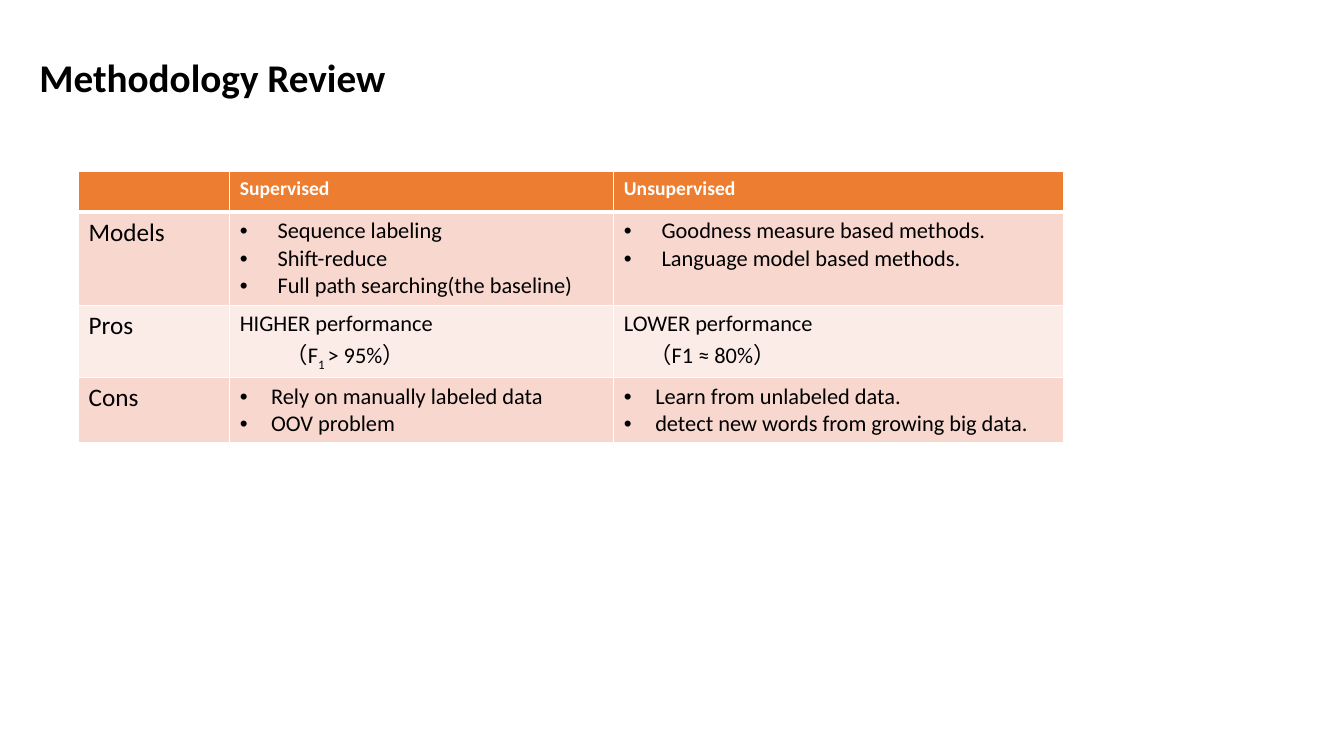
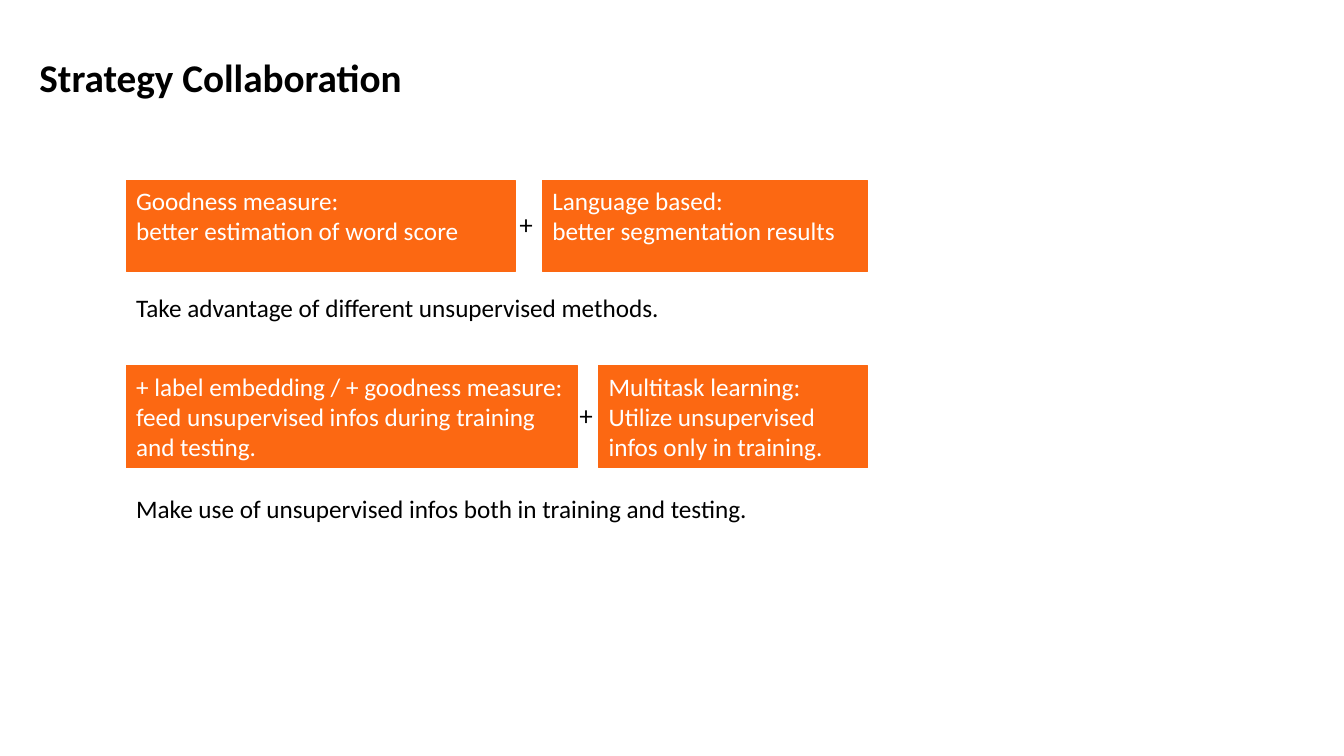
import dataclasses

import lxml.etree
import pptx
import pptx.dml.color
import pptx.enum.shapes
import pptx.enum.text
import pptx.oxml.ns
import pptx.util

Cm, Pt = pptx.util.Cm, pptx.util.Pt
qn = pptx.oxml.ns.qn
ALIGN = pptx.enum.text.PP_ALIGN
ANCHOR = pptx.enum.text.MSO_ANCHOR

COLORS = {
    "text": "000000",
    "white": "FFFFFF",
    "header": "ED7D31",
    "band_dark": "F8D7CE",
    "band_light": "FCECE8",
    "box": "FC6812",
}
FONT = "Calibri"
SYMBOL_FONT = "Noto Sans CJK JP"


@dataclasses.dataclass
class Cell:
    """Table cell text; indent and hanging are in cm."""
    lines: list[str]
    size: int = 16
    indent: float = 0
    bullet: bool = False
    last_indent: float = 0


@dataclasses.dataclass
class Box:
    """Filled box with a heading line and an explanation; lengths in cm."""
    left: float
    width: float
    lines: list[str]


@dataclasses.dataclass
class Strategy:
    """Two boxes joined by a plus sign, with a conclusion below."""
    top: float
    height: float
    boxes: list[Box]
    plus_left: float
    plus_top: float
    conclusion: str
    conclusion_top: float


def rgb(name: str) -> pptx.dml.color.RGBColor:
    return pptx.dml.color.RGBColor.from_string(COLORS[name])


def format_text(tf, size: int, color: str = "text", bold: bool = False,
                align=ALIGN.LEFT, font: str = FONT) -> None:
    for p in tf.paragraphs:
        p.alignment = align
        for r in p.runs:
            r.font.name = font
            r.font.size = Pt(size)
            r.font.bold = bold
            r.font.color.rgb = rgb(color)


def add_titled_slide(prs, title: str):
    s = prs.slides.add_slide(prs.slide_layouts.get_by_name("Title Only"))
    sp = s.shapes.title
    sp.left, sp.top, sp.width, sp.height = Cm(0.74), Cm(1.27), Cm(29.21), Cm(1.5)
    tf = sp.text_frame
    tf.text = title
    tf.auto_size = pptx.enum.text.MSO_AUTO_SIZE.NONE
    tf.vertical_anchor = ANCHOR.MIDDLE
    tf.paragraphs[0].line_spacing = 0.9
    format_text(tf, 28, bold=True)
    return s


def set_borders(cell, top: int, bottom: int) -> None:
    tc_pr = cell._tc.get_or_add_tcPr()
    for side, width in (("L", 1), ("R", 1), ("T", top), ("B", bottom)):
        ln = lxml.etree.SubElement(tc_pr, qn(f"a:ln{side}"), w=str(Pt(width)))
        fill = lxml.etree.SubElement(ln, qn("a:solidFill"))
        lxml.etree.SubElement(fill, qn("a:srgbClr"), val=COLORS["white"])


def set_indent(p, left: float, bullet: bool = False) -> None:
    p_pr = p._p.get_or_add_pPr()
    p_pr.set("marL", str(Cm(left)))
    p_pr.set("indent", str(-Cm(left) if bullet else 0))
    if bullet:
        lxml.etree.SubElement(p_pr, qn("a:buFont"), typeface="Arial")
        lxml.etree.SubElement(p_pr, qn("a:buChar"), char="•")


def fill_cell(cell, content: Cell, fill: str, is_header: bool) -> None:
    tf = cell.text_frame
    tf.text = "\n".join(content.lines)
    format_text(tf, content.size, "white" if is_header else "text", is_header)
    for p in tf.paragraphs:
        set_indent(p, content.indent, content.bullet)
    if content.last_indent:
        set_indent(tf.paragraphs[-1], content.last_indent)
    cell.fill.solid()
    cell.fill.fore_color.rgb = rgb(fill)


def add_subscript(p, digit: str, rest: str) -> None:
    """Continue a paragraph with a subscript and normal text after it."""
    first = p.runs[0].font
    for text, baseline in ((digit, "-25000"), (rest, "0")):
        r = p.add_run()
        r.text = text
        r.font.name, r.font.size, r.font.bold = first.name, first.size, False
        r.font.color.rgb = first.color.rgb
        r._r.get_or_add_rPr().set("baseline", baseline)


def add_review_table(s, rows: list[list[Cell]], widths: list[float],
                     heights: list[float]):
    frame = s.shapes.add_table(len(rows), len(widths), Cm(1.98), Cm(4.32),
                               Cm(sum(widths)), Cm(sum(heights)))
    table = frame.table
    for column, width in zip(table.columns, widths):
        column.width = Cm(width)
    for i, (contents, height) in enumerate(zip(rows, heights)):
        table.rows[i].height = Cm(height)
        fill = "header" if i == 0 else ("band_light", "band_dark")[i % 2]
        for j, content in enumerate(contents):
            cell = table.cell(i, j)
            set_borders(cell, 3 if i == 1 else 1, 3 if i == 0 else 1)
            fill_cell(cell, content, fill, i == 0)
    return table


def add_box(s, box: Box, top: float, height: float) -> None:
    sp = s.shapes.add_shape(pptx.enum.shapes.MSO_SHAPE.RECTANGLE, Cm(box.left),
                            Cm(top), Cm(box.width), Cm(height))
    sp.shadow.inherit = False
    sp.fill.solid()
    sp.fill.fore_color.rgb = rgb("box")
    sp.line.color.rgb = rgb("box")
    sp.line.width = Pt(0.5)
    tf = sp.text_frame
    tf.word_wrap = True
    tf.vertical_anchor = ANCHOR.TOP
    tf.text = "\n".join(box.lines)
    format_text(tf, 18, "white")


def add_label(s, text: str, left: float, top: float, width: float,
              wrap: bool = True, align=ALIGN.LEFT, font: str = FONT) -> None:
    sp = s.shapes.add_textbox(Cm(left), Cm(top), Cm(width), Cm(1.03))
    tf = sp.text_frame
    tf.word_wrap = wrap
    tf.vertical_anchor = ANCHOR.MIDDLE
    tf.text = text
    format_text(tf, 18, align=align, font=font)


def add_strategy(s, strategy: Strategy) -> None:
    for box in strategy.boxes:
        add_box(s, box, strategy.top, strategy.height)
    add_label(s, "+", strategy.plus_left, strategy.plus_top, 0.84,
              wrap=False, align=ALIGN.CENTER, font=SYMBOL_FONT)
    add_label(s, strategy.conclusion, 3.18, strategy.conclusion_top, 16.74)


prs = pptx.Presentation()
prs.slide_width, prs.slide_height = Cm(33.87), Cm(19.05)

# Methodology table
s = add_titled_slide(prs, "Methodology Review")
review_rows = [
    [Cell([""]), Cell(["Supervised"], 14), Cell(["Unsupervised"], 14)],
    [Cell(["Models"], 18),
     Cell(["Sequence labeling", "Shift-reduce",
           "Full path searching(the baseline)"], indent=0.95, bullet=True),
     Cell(["Goodness measure based methods.", "Language model based methods."],
          indent=0.95, bullet=True)],
    [Cell(["Pros"], 18),
     Cell(["HIGHER performance", "（F"], last_indent=1.15),
     Cell(["LOWER performance", "（F1 ≈ 80%）"], last_indent=0.64)],
    [Cell(["Cons"], 18),
     Cell(["Rely on manually labeled data", "OOV problem"],
          indent=0.79, bullet=True),
     Cell(["Learn from unlabeled data.",
           "detect new words from growing big data."],
          indent=0.79, bullet=True)],
]
table = add_review_table(s, review_rows, [3.81, 9.68, 11.33],
                         [1.03, 2.34, 1.82, 1.63])
add_subscript(table.cell(2, 1).text_frame.paragraphs[1], "1 ", "> 95%）")

# Strategy pairs
s = add_titled_slide(prs, "Strategy Collaboration")
strategies = [
    Strategy(4.55, 2.29, [
        Box(3.18, 9.8, ["Goodness measure:", "better estimation of word score"]),
        Box(13.67, 8.2, ["Language based:", "better segmentation results"]),
    ], 12.85, 5.16, "Take advantage of different unsupervised methods.", 7.24),
    Strategy(9.22, 2.57, [
        Box(3.18, 11.38, ["+ label embedding / + goodness measure:",
                          "feed unsupervised infos during training and testing."]),
        Box(15.09, 6.78, ["Multitask learning:",
                          "Utilize unsupervised infos only in training."]),
    ], 14.35, 9.98,
        "Make use of unsupervised infos both in training and testing.", 12.29),
]
for strategy in strategies:
    add_strategy(s, strategy)

prs.save("out.pptx")
